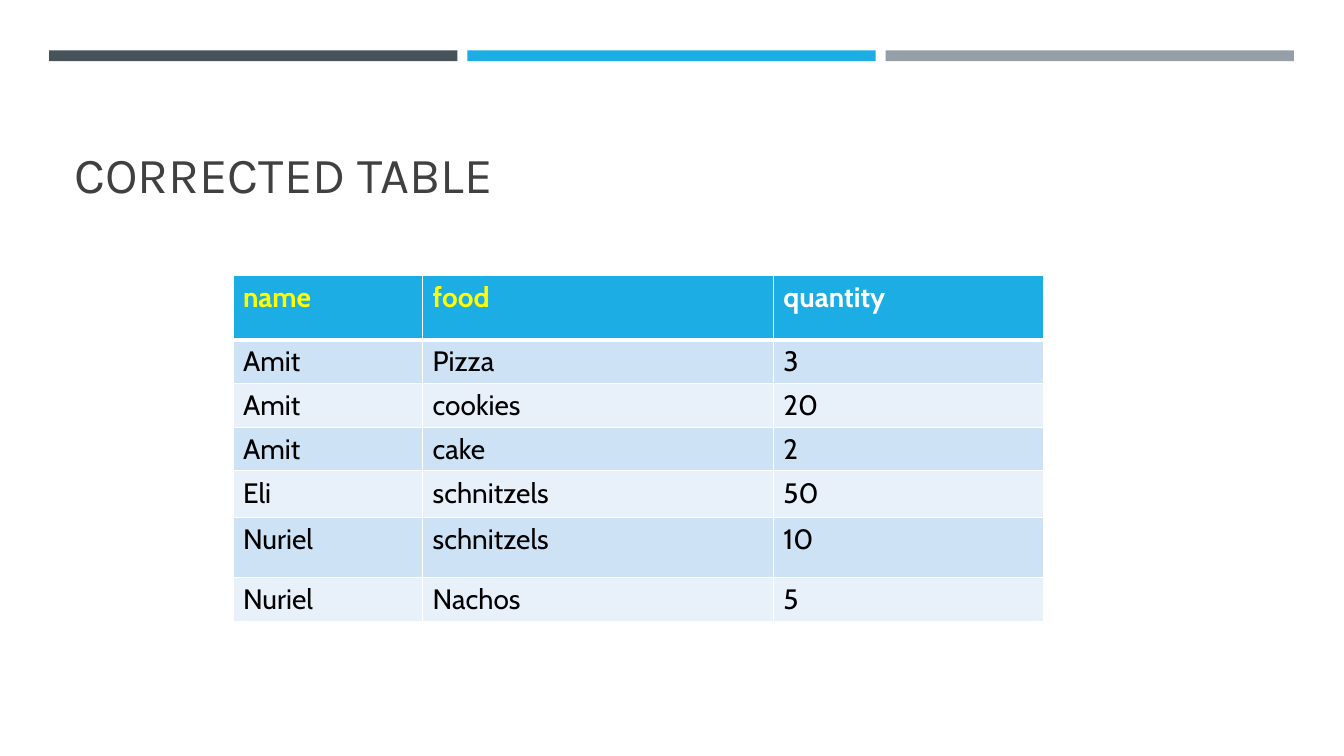
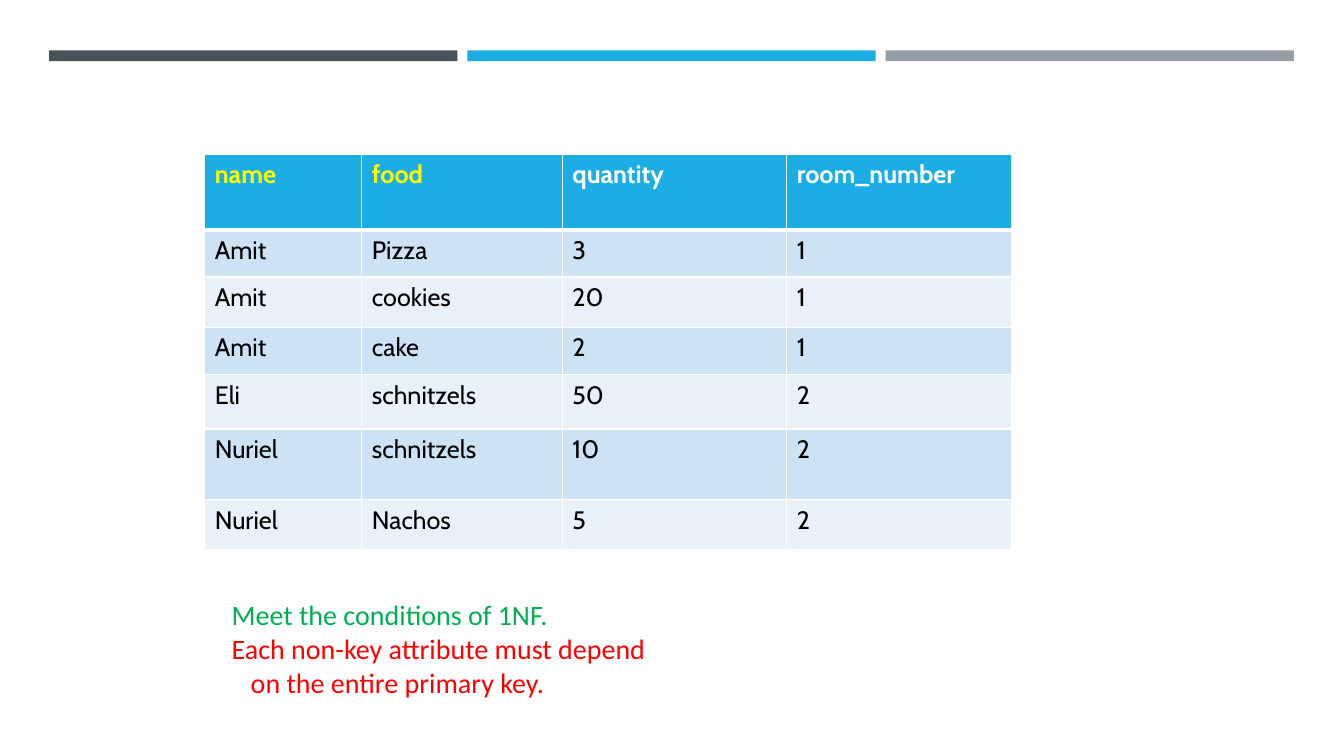
from lxml.etree import SubElement
from pptx import Presentation
from pptx.dml.color import RGBColor
from pptx.enum.shapes import MSO_SHAPE as Shape
from pptx.enum.text import MSO_ANCHOR as Anchor
from pptx.oxml.ns import qn
from pptx.util import Cm, Pt

HEADER = ["name", "food", "quantity"]
ORDERS = [
    ["Amit", "Pizza", "3"],
    ["Amit", "cookies", "20"],
    ["Amit", "cake", "2"],
    ["Eli", "schnitzels", "50"],
    ["Nuriel", "schnitzels", "10"],
    ["Nuriel", "Nachos", "5"],
]
ROOMS = {"Amit": "1", "Eli": "2", "Nuriel": "2"}
KEY_COLUMNS = 2


def color(code):
    return RGBColor.from_string(code)


class Deck:
    """Holds the shared style and the slide being filled."""

    BANDS = ["465359", "1CADE4", "969FA7"]
    ACCENT, WHITE, BLACK, KEY = "1CADE4", "FFFFFF", "000000", "FFFF00"
    STRIPES = ["CDE3F5", "E8F1FA"]
    TITLE_COLOR = "404040"
    TITLE_FONT, TABLE_FONT, NOTE_FONT = "Karla", "Cabin", "Calibri"

    def __init__(self):
        self.deck = Presentation()
        self.deck.slide_width, self.deck.slide_height = Cm(33.87), Cm(19.05)
        self.page = None

    def add_page(self):
        self.page = self.deck.slides.add_slide(self.deck.slide_layouts[6])
        for index, code in enumerate(self.BANDS):
            left = 1.24 + index * 10.54
            band = self.page.shapes.add_shape(
                Shape.RECTANGLE, Cm(left), Cm(1.27), Cm(10.29), Cm(0.27))
            band.shadow.inherit = False
            band.fill.solid()
            band.fill.fore_color.rgb = color(code)
            band.line.fill.background()

    def style(self, para, font, size, code, bold=False):
        for span in para.runs:
            span.font.name = font
            span.font.size = Pt(size)
            span.font.bold = bold
            span.font.color.rgb = color(code)

    def add_box(self, left, top, width, height):
        box = self.page.shapes.add_textbox(Cm(left), Cm(top), Cm(width), Cm(height))
        box.text_frame.word_wrap = True
        return box.text_frame

    def add_title(self, text):
        frame = self.add_box(1.63, 1.96, 30.63, 3.3)
        frame.vertical_anchor = Anchor.BOTTOM
        frame.text = text
        self.style(frame.paragraphs[0], self.TITLE_FONT, 36, self.TITLE_COLOR)

    def add_note(self, left, top, width, height, lines):
        frame = self.add_box(left, top, width, height)
        frame.text = "\n".join(text for text, code, indent in lines)
        for para, (text, code, indent) in zip(frame.paragraphs, lines):
            self.style(para, self.NOTE_FONT, 20, code)
            if indent:
                para._p.get_or_add_pPr().set("marL", str(Cm(indent)))

    def add_borders(self, cell, top, bottom):
        properties = cell._tc.get_or_add_tcPr()
        for side, width in (("L", 1), ("R", 1), ("T", top), ("B", bottom)):
            line = SubElement(properties, qn(f"a:ln{side}"), w=str(Pt(width)))
            fill = SubElement(line, qn("a:solidFill"))
            SubElement(fill, qn("a:srgbClr"), val=self.WHITE)

    def add_table(self, left, top, widths, heights, rows, size):
        table = self.page.shapes.add_table(
            len(rows), len(widths), Cm(left), Cm(top),
            Cm(sum(widths)), Cm(sum(heights))).table
        table.first_row = table.horz_banding = False
        for column, width in zip(table.columns, widths):
            column.width = Cm(width)
        for row, height in zip(table.rows, heights):
            row.height = Cm(height)
        for y, values in enumerate(rows):
            is_header = y == 0
            for x, value in enumerate(values):
                cell = table.cell(y, x)
                self.add_borders(cell, 3 if y == 1 else 1, 3 if is_header else 1)
                cell.fill.solid()
                fill = self.ACCENT if is_header else self.STRIPES[(y - 1) % 2]
                cell.fill.fore_color.rgb = color(fill)
                cell.text_frame.text = value
                code = self.BLACK
                if is_header:
                    code = self.KEY if x < KEY_COLUMNS else self.WHITE
                self.style(cell.text_frame.paragraphs[0], self.TABLE_FONT,
                           size, code, is_header)


def main():
    deck = Deck()

    deck.add_page()
    deck.add_title("CORRECTED TABLE")
    deck.add_table(5.87, 6.93, [4.78, 8.84, 6.81],
                   [1.63, 1.02, 1.09, 1.02, 1.17, 1.52, 1.02],
                   [HEADER] + ORDERS, 20)

    deck.add_page()
    orders_with_rooms = [order + [ROOMS[order[0]]] for order in ORDERS]
    deck.add_table(5.16, 3.89, [3.96, 5.05, 5.66, 5.66],
                   [1.9, 1.19, 1.27, 1.19, 1.37, 1.78, 1.27],
                   [HEADER + ["room_number"]] + orders_with_rooms, 18)
    deck.add_note(5.59, 14.94, 18.26, 2.82, [
        ("Meet the conditions of 1NF.", "00B050", 0),
        ("Each non-key attribute must depend", "FF0000", 0),
        ("on the entire primary key.", "FF0000", 0.48),
    ])

    deck.deck.save("out.pptx")


if __name__ == "__main__":
    main()
